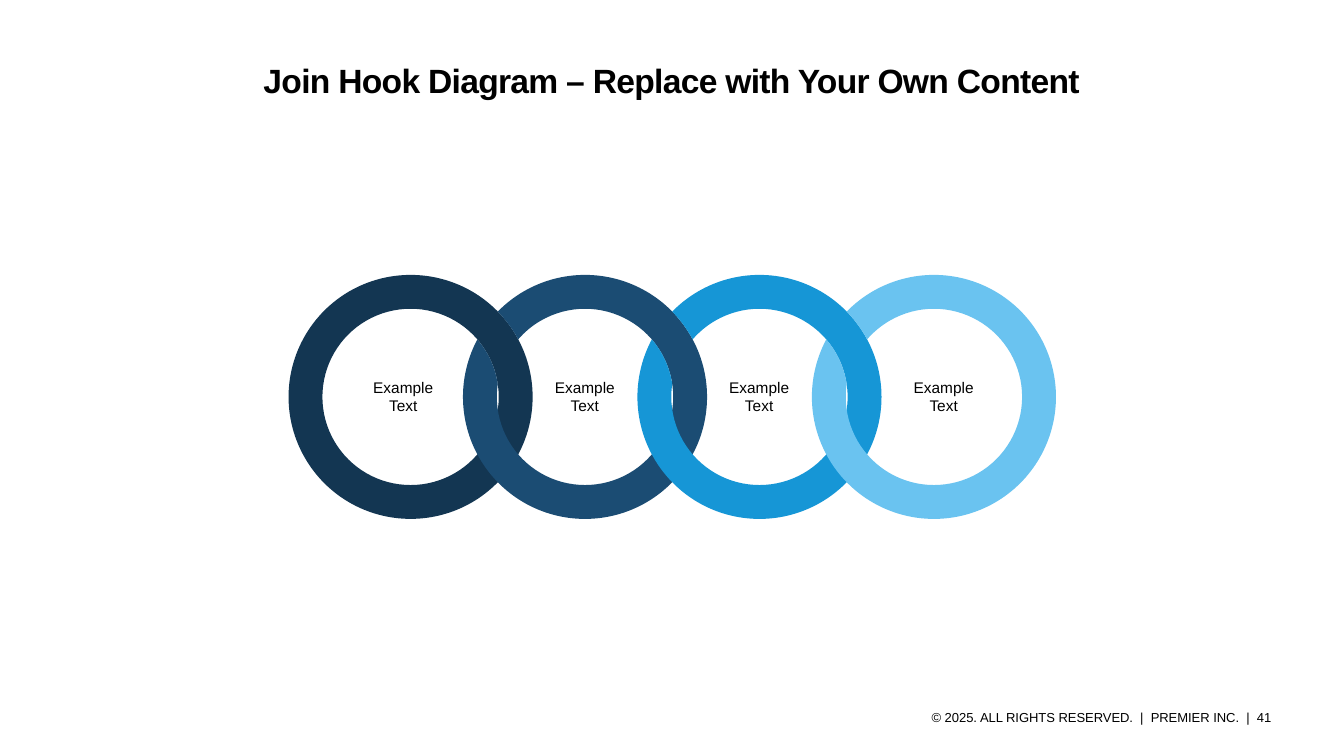
"""Build a slide with four interlocked rings, each holding a label."""
from dataclasses import dataclass
from math import atan2, cos, degrees, radians, sin, sqrt

from pptx import Presentation as Deck
from pptx.dml.color import RGBColor as Rgb
from pptx.enum.text import MSO_ANCHOR as Anchor, PP_ALIGN as Align
from pptx.oxml.ns import qn
from pptx.oxml.xmlchemy import OxmlElement as Node
from pptx.util import Inches, Pt

Point = tuple[float, float]
WIDE, HIGH = Inches(13.33), Inches(7.5)
HUES = {"navy": "133652", "steel": "1B4C73", "blue": "1696D6",
        "sky": "6AC3F0", "ink": "000000"}
FIRST, PITCH, MID = 30.55, 12.98, 52.5
OUTER, INNER = 9.08, 6.56


@dataclass(frozen=True)
class Link:
    hue: str
    label: float


@dataclass(frozen=True)
class Note:
    text: str
    left: float
    top: float
    width: float
    height: float
    size: float
    align: Align = Align.CENTER
    anchor: Anchor = Anchor.TOP
    inset: Point = (0.1, 0.05)
    bold: bool = False
    space: float = 1.0
    track: int = 0


@dataclass(frozen=True)
class Bow:
    hub: float
    size: float
    start: float
    end: float

    def point(self, angle: float) -> Point:
        turn = radians(angle)
        return (across(self.hub + self.size * cos(turn)),
                down(MID) + across(self.size * sin(turn)))

    def node(self):
        arc = Node("a:arcTo")
        size = str(across(self.size))
        arc.set("wR", size)
        arc.set("hR", size)
        arc.set("stAng", str(round(self.start % 360 * 60000)))
        arc.set("swAng", str(round((self.end - self.start) * 60000)))
        return arc


Loop = list[Bow]
LINKS = [Link("navy", 26.63), Link("steel", 40.14),
         Link("blue", 53.11), Link("sky", 66.84)]
TITLE = Note("Join Hook Diagram – Replace with Your Own Content",
             3.75, 5.73, 92.42, 10.4, 24, anchor=Anchor.MIDDLE,
             inset=(0, 0), bold=True, space=0.86, track=-50)
FOOT = Note("© 2025. ALL RIGHTS RESERVED.  |  PREMIER INC.  |  41",
            62.27, 92.67, 33.68, 4.53, 9.3, Align.RIGHT, Anchor.MIDDLE,
            inset=(0.18, 0.09))


def across(share: float) -> int:
    return round(WIDE * share / 100)


def down(share: float) -> int:
    return round(HIGH * share / 100)


def sweep(hub: float, size: float, start: float, end: float) -> Loop:
    """Split an arc at each quarter turn."""
    low, high = sorted((start, end))
    stops = [low, *(a for a in range(-180, 361, 90) if low < a < high), high]
    if end < start:
        stops.reverse()
    return [Bow(hub, size, a, b) for a, b in zip(stops, stops[1:])]


def cross(own: float, other: float) -> Point:
    """Give the angles, on a ring and on its left neighbour, of their upper crossing."""
    x = (other ** 2 - own ** 2 - PITCH ** 2) / (2 * PITCH)
    y = -sqrt(own ** 2 - x ** 2)
    return degrees(atan2(y, x)), degrees(atan2(y, x + PITCH))


def hook(hub: float) -> list[Loop]:
    """Outline a ring with a gap where its left neighbour passes over it."""
    prior = hub - PITCH
    tip, tip_far = cross(OUTER, OUTER)
    end, end_far = cross(OUTER, INNER)
    heel, heel_far = cross(INNER, INNER)
    toe, toe_far = cross(INNER, OUTER)
    return [sweep(hub, OUTER, tip, end + 360)
            + sweep(prior, INNER, end_far, heel_far)
            + sweep(hub, INNER, heel + 360, toe)
            + sweep(prior, OUTER, toe_far, tip_far)]


def whole(hub: float) -> list[Loop]:
    return [sweep(hub, OUTER, 0, 360), sweep(hub, INNER, 360, 0)]


def ring(shapes, loops: list[Loop], hue: str) -> None:
    pen = shapes.build_freeform(*loops[0][0].point(loops[0][0].start), scale=1.0)
    for place, loop in enumerate(loops):
        if place:
            pen.move_to(*loop[0].point(loop[0].start))
        pen.add_line_segments([bow.point(bow.end) for bow in loop], close=True)
    shape = pen.convert_to_shape()
    lines = list(shape._element.iter(qn("a:lnTo")))
    for line, bow in zip(lines, sum(loops, [])):
        line.getparent().replace(line, bow.node())
    shape.shadow.inherit = False
    shape.fill.solid()
    shape.fill.fore_color.rgb = Rgb.from_string(HUES[hue])
    shape.line.fill.background()


def write(shapes, note: Note) -> None:
    box = shapes.add_textbox(across(note.left), down(note.top),
                             across(note.width), down(note.height))
    frame = box.text_frame
    frame.word_wrap = True
    frame.vertical_anchor = note.anchor
    frame.margin_left = frame.margin_right = Inches(note.inset[0])
    frame.margin_top = frame.margin_bottom = Inches(note.inset[1])
    para = frame.paragraphs[0]
    para.alignment = note.align
    para.line_spacing = note.space
    run = para.add_run()
    run.text = note.text
    font = run.font
    font.name, font.size, font.bold = "Arial", Pt(note.size), note.bold
    font.color.rgb = Rgb.from_string(HUES["ink"])
    if note.track:
        run._r.get_or_add_rPr().set("spc", str(note.track))


def main() -> None:
    deck = Deck()
    deck.slide_width, deck.slide_height = WIDE, HIGH
    shapes = deck.slides.add_slide(deck.slide_layouts[6]).shapes
    write(shapes, FOOT)
    write(shapes, TITLE)
    for place, link in enumerate(LINKS):
        hub = FIRST + place * PITCH
        ring(shapes, hook(hub) if place else whole(hub), link.hue)
    for link in LINKS:
        write(shapes, Note("Example Text", link.label, 49.33, 6.75, 6.27, 11))
    deck.save("out.pptx")


if __name__ == "__main__":
    main()
